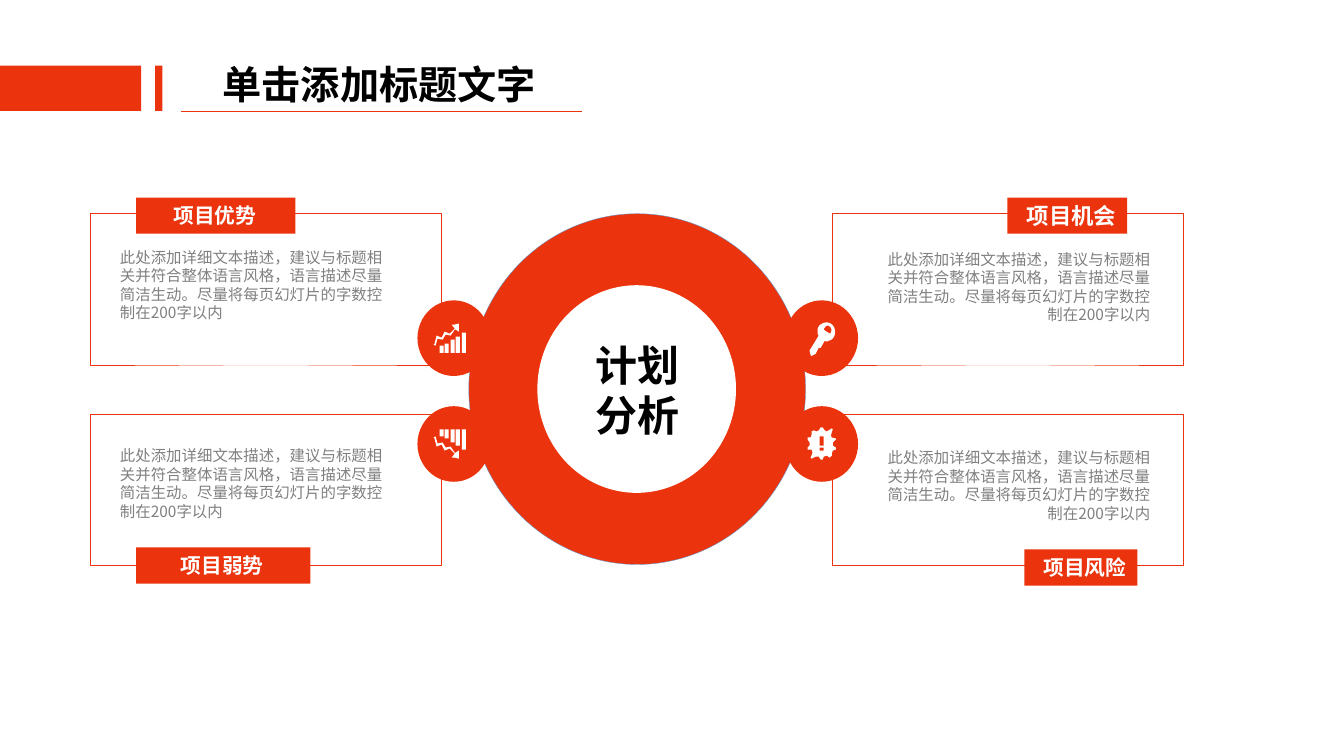
from pptx import Presentation
from pptx.dml.color import RGBColor
from pptx.enum.shapes import MSO_CONNECTOR, MSO_SHAPE
from pptx.enum.text import MSO_ANCHOR, PP_ALIGN
from pptx.oxml.ns import qn
from pptx.util import Emu, Pt

EMU_PER_PX = 9144  # 100 px to the inch
FONT = "Noto Sans CJK SC"
RED = RGBColor(0xEB, 0x34, 0x0D)
BLUE = RGBColor(0x5B, 0x9B, 0xD5)
GRAY = RGBColor(0x80, 0x80, 0x80)
WHITE = RGBColor(0xFF, 0xFF, 0xFF)
BLACK = RGBColor(0, 0, 0)
LEFT, CENTER, RIGHT = PP_ALIGN.LEFT, PP_ALIGN.CENTER, PP_ALIGN.RIGHT

DESCRIPTION = ("此处添加详细文本描述，建议与标题相关并符合整体语言风格，"
               "语言描述尽量简洁生动。尽量将每页幻灯片的字数控制在200字以内")

# Label text, size, place, alignment and insets
LABELS = [
    ("项目优势", 14.8, (135, 196, 158, 36), CENTER, (11, 6, 13, 6)),
    ("项目弱势", 14.8, (135, 543, 173, 36), CENTER, (11, 6, 13, 6)),
    ("项目机会", 16, (999, 196, 119, 36), RIGHT, (13, 6, 11, 6)),
    ("项目风险", 14.8, (1016, 545, 112, 36), RIGHT, (13, 6, 11, 6)),
]

# Icon outlines: a pair is a corner, six numbers are a cubic curve
TREND_ARROW = [
    (442, 332), (447, 333), (451, 327), (452, 327), (455, 329), (455, 321),
    (451, 322), (448, 322), (451, 326), (446, 331), (441, 329), (438, 335),
    (433, 333), (431, 341), (430, 342), (432, 343), (434, 336), (439, 337),
]
TREND_BARS = [(436, 343), (441, 341), (447, 337), (452, 334), (458, 330)]
KEY = [
    [(828, 327), (827, 322, 823, 319, 818, 320), (814, 321, 810, 324, 811, 329),
     (811, 331, 811, 332, 812, 333), (804, 346), (803, 347, 803, 348, 803, 348),
     (804, 352), (804, 352, 804, 353, 805, 353), (807, 352),
     (808, 352, 808, 351, 809, 351), (812, 345), (814, 345), (818, 338),
     (819, 339, 821, 339, 822, 338), (827, 337, 829, 332, 828, 327)],
    [(824, 330), (823, 332, 822, 330, 820, 329), (818, 328, 816, 327, 818, 325),
     (819, 323, 821, 322, 823, 324), (825, 325, 825, 328, 824, 330)],
]
ALERT = [
    [(829, 444), (826, 442), (826, 439), (829, 436), (829, 435), (825, 434),
     (824, 432), (826, 426), (825, 425), (820, 428), (818, 427), (816, 424),
     (814, 424), (812, 427), (810, 428), (807, 427), (805, 428), (805, 431),
     (804, 434), (801, 434), (801, 436), (803, 439), (803, 442), (801, 444),
     (801, 446), (805, 446), (806, 449), (804, 454), (805, 455), (809, 453),
     (812, 453), (814, 456), (816, 456), (817, 453), (820, 452), (823, 454),
     (825, 452), (825, 450), (826, 447), (829, 446)],
    [(817, 442), (813, 442), (813, 433), (817, 433)],
    [(817, 447), (813, 447), (813, 444), (817, 444)],
]


def px(length):
    return Emu(round(length * EMU_PER_PX))


def paint(shape, fill=None, line=None, width=0.25):
    shape.shadow.inherit = False
    if fill is None:
        shape.fill.background()
    else:
        shape.fill.solid()
        shape.fill.fore_color.rgb = fill
    if line is None:
        shape.line.fill.background()
    else:
        shape.line.color.rgb = line
        shape.line.width = Pt(width)


def add_preset(page, kind, place, fill=None, line=None):
    shape = page.shapes.add_shape(kind, *map(px, place))
    paint(shape, fill, line)
    return shape


def write(shape, lines, size, color, align=LEFT, bold=False, spacing=None,
          insets=(10, 5, 10, 5), anchor=MSO_ANCHOR.TOP, wrap=True):
    frame = shape.text_frame
    frame.word_wrap = wrap
    frame.vertical_anchor = anchor
    (frame.margin_left, frame.margin_top,
     frame.margin_right, frame.margin_bottom) = map(px, insets)
    frame.text = "\n".join(lines)
    for para in frame.paragraphs:
        para.alignment = align
        if spacing:
            para.line_spacing = Pt(spacing)
        para.font.name = FONT
        para.font.size = Pt(size)
        para.font.bold = bold
        para.font.color.rgb = color


def add_text(page, place, lines, size, color, **options):
    box = page.shapes.add_textbox(*map(px, place))
    write(box, lines, size, color, **options)


def add_rule(page, left, right, y):
    rule = page.shapes.add_connector(
        MSO_CONNECTOR.STRAIGHT, px(left), px(y), px(right), px(y))
    rule.line.color.rgb = RED
    rule.line.width = Pt(0.5)
    properties = rule._element.spPr
    properties.append(properties.makeelement(qn("a:effectLst"), {}))


def trace(outline, steps=6):
    """Turn corners and cubic curves into a list of points."""
    points = []
    for part in outline:
        if len(part) == 2:
            points.append(part)
            continue
        x0, y0 = points[-1]
        x1, y1, x2, y2, x3, y3 = part
        for step in range(1, steps + 1):
            t = step / steps
            a, b, c, d = (1 - t) ** 3, 3 * t * (1 - t) ** 2, 3 * t * t * (1 - t), t ** 3
            points.append((a * x0 + b * x1 + c * x2 + d * x3,
                           a * y0 + b * y1 + c * y2 + d * y3))
    return points


def add_icon(page, outlines):
    builder = None
    for outline in outlines:
        start, *rest = [(px(x), px(y)) for x, y in trace(outline)]
        if builder is None:
            builder = page.shapes.build_freeform(*start)
        else:
            builder.move_to(*start)
        builder.add_line_segments(rest, close=True)
    paint(builder.convert_to_shape(), WHITE)


def trend_outlines():
    bars = [[(x, 350), (x, top), (x + 4, top), (x + 4, 350)] for x, top in TREND_BARS]
    return [TREND_ARROW] + bars


def mirror(outlines, axis_sum):
    return [[(x, axis_sum - y) for x, y in outline] for outline in outlines]


def main():
    deck = Presentation()
    deck.slide_width, deck.slide_height = px(1333), px(750)
    page = deck.slides.add_slide(deck.slide_layouts[6])

    # Heading
    for place in [(154, 65, 7, 45), (0, 65, 140, 45)]:
        add_preset(page, MSO_SHAPE.RECTANGLE, place, RED)
    add_text(page, (211, 52, 334, 57), ["单击添加标题文字"], 28, BLACK,
             bold=True, spacing=36, wrap=False)
    add_rule(page, 180, 577, 110)

    # Central ring
    add_preset(page, MSO_SHAPE.OVAL, (465, 212, 334, 348), RED, BLUE)
    add_preset(page, MSO_SHAPE.OVAL, (533, 283, 197, 206), WHITE)

    # Frames and icon discs of the four quadrants
    for left in (89, 825):
        for top in (212, 411):
            add_preset(page, MSO_SHAPE.RECTANGLE, (left, top, 349, 150), line=RED)
    for left in (414, 779):
        for top in (298, 403):
            add_preset(page, MSO_SHAPE.OVAL, (left, top, 72, 75), RED)

    # Icons
    add_icon(page, trend_outlines())
    add_icon(page, mirror(trend_outlines(), 776))
    add_icon(page, KEY)
    add_icon(page, ALERT)

    # Descriptions
    for left, first_top, align in [(108, 241, LEFT), (868, 243, RIGHT)]:
        for top in (first_top, first_top + 197):
            add_text(page, (left, top, 284, 85), [DESCRIPTION], 11, GRAY,
                     align=align, spacing=13.2, insets=(11, 5, 11, 5))

    # Labels
    for text, size, place, align, insets in LABELS:
        label = add_preset(page, MSO_SHAPE.RECTANGLE, place, RED)
        write(label, [text], size, WHITE, align=align, bold=True,
              insets=insets, anchor=MSO_ANCHOR.MIDDLE)

    # Centre caption
    add_text(page, (546, 333, 172, 107), ["计划", "分析"], 30, BLACK, align=CENTER,
             bold=True, spacing=36, insets=(13, 6, 13, 6), anchor=MSO_ANCHOR.MIDDLE)

    deck.save("out.pptx")


if __name__ == "__main__":
    main()
